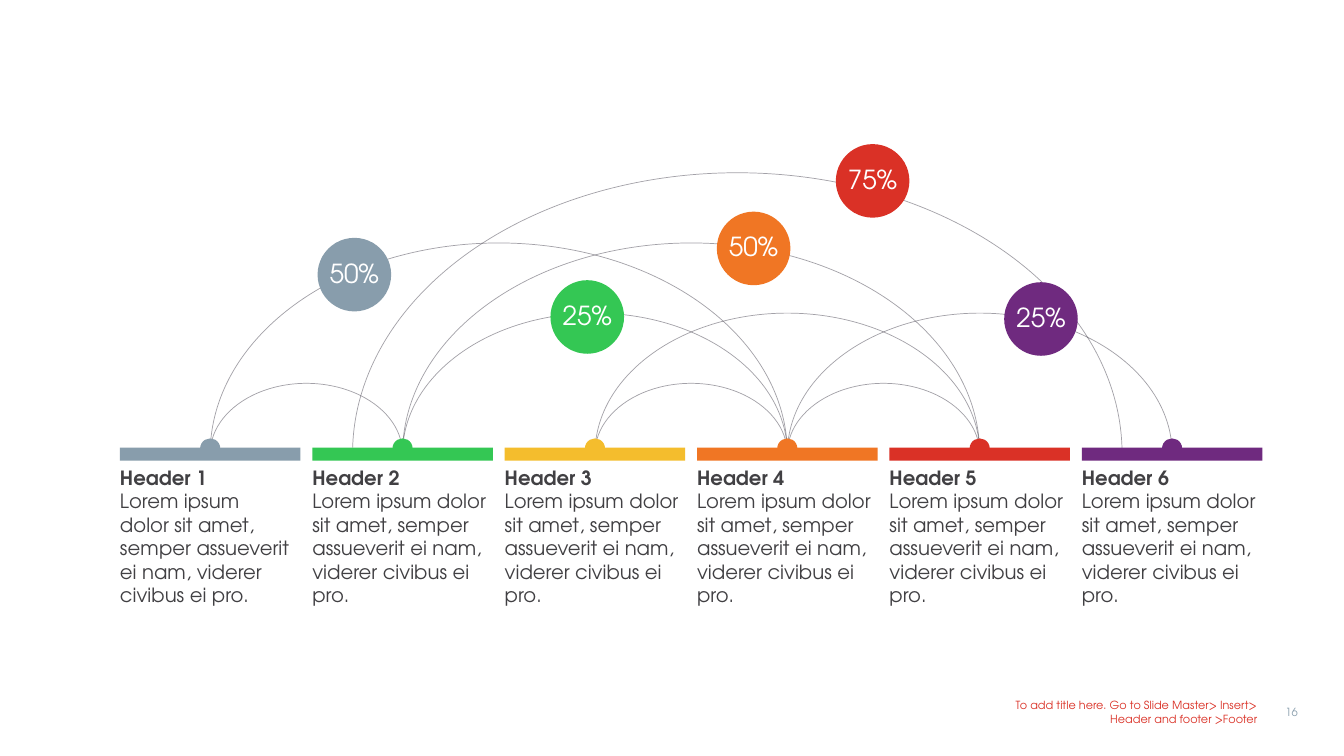
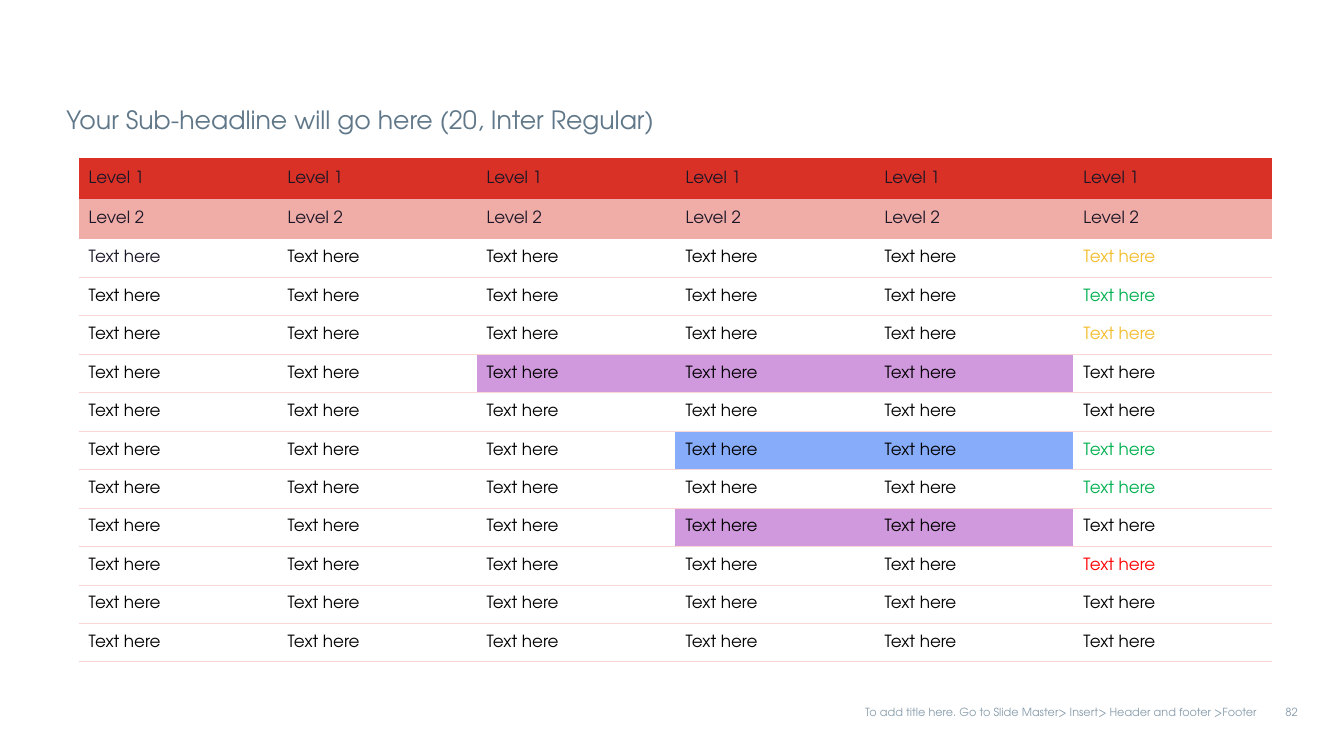
from lxml import etree
from pptx import Presentation
from pptx import util as u
from pptx.dml.color import RGBColor
from pptx.enum import shapes, text
from pptx.oxml.ns import qn

FONT = "TeX Gyre Adventor"
STEEL, GREEN, YELLOW = "889DAC", "34C754", "F4BD2D"
ORANGE, RED, PURPLE = "F07624", "DA3126", "6F2A7F"
WHITE, BLACK, INK, GREY, SLATE = "FFFFFF", "000000", "1B1626", "414043", "5F7788"
ROSE, PALE_ROSE, LILAC, SKY = "F0ADA8", "F8D6D4", "D098DD", "87ACF9"
LEAF, BRIGHT_RED = "00B050", "FF0000"

FOOTER = "To add title here. Go to Slide Master> Insert> Header and footer >Footer"
FOOTER_RIGHT = 12.57
NO_GRID_STYLE = "{2D5ABB26-0587-4C30-8999-92F81FD0307C}"

# Six columns of the arc diagram
COLUMN_COLORS = [STEEL, GREEN, YELLOW, ORANGE, RED, PURPLE]
COLUMN_LEFT, COLUMN_WIDTH = 1.19, 1.79
COLUMN_PITCH = (10.73 - COLUMN_LEFT) / 5
BODY = "Lorem ipsum dolor sit amet, semper assueverit ei nam, viderer civibus ei pro."
ARC_CENTER_Y, ARC_RATIO = 4.5, 0.73
# Start and end of each arc, counted in columns
ARCS = [(0, 1), (2, 3), (0, 3), (0.74, 4.74), (3, 4), (3, 5), (2, 4), (1, 3), (1, 4)]
BUBBLES = [
    (3.15, 2.36, "50%", STEEL),
    (7.11, 2.1, "50%", ORANGE),
    (8.29, 1.43, "75%", RED),
    (5.46, 2.78, "25%", GREEN),
    (9.96, 2.8, "25%", PURPLE),
]

# Table exceptions, keyed by (row, column)
CELL_FILLS = {
    **{(5, column): LILAC for column in (2, 3, 4)},
    **{(7, column): SKY for column in (3, 4)},
    **{(9, column): LILAC for column in (3, 4)},
}
TEXT_COLORS = {
    (2, 0): INK, (2, 5): YELLOW, (3, 5): LEAF, (4, 5): YELLOW,
    (7, 5): LEAF, (8, 5): LEAF, (10, 5): BRIGHT_RED,
}


def rgb(color):
    return RGBColor.from_string(color)


def style(para, size, color, bold=False, align=text.PP_ALIGN.LEFT):
    para.alignment = align
    font = para.font
    font.name, font.size, font.bold = FONT, u.Pt(size), bold
    font.color.rgb = rgb(color)


def set_insets(frame, side, top):
    frame.margin_left = frame.margin_right = u.Inches(side)
    frame.margin_top = frame.margin_bottom = u.Inches(top)


def add_text(page, at, lines, size, color, align=text.PP_ALIGN.LEFT,
             anchor=text.MSO_ANCHOR.TOP, side=0.1):
    """Add a wrapped text box; lines are (wording, bold) pairs."""
    frame = page.shapes.add_textbox(*map(u.Inches, at)).text_frame
    frame.word_wrap = True
    frame.vertical_anchor = anchor
    set_insets(frame, side, 0.05)
    for index, (wording, bold) in enumerate(lines):
        para = frame.paragraphs[0] if index == 0 else frame.add_paragraph()
        para.text = wording
        style(para, size, color, bold, align)
    return frame


def add_shape(page, kind, at, fill=None, angles=()):
    shape = page.shapes.add_shape(kind, *map(u.Inches, at))
    shape.shadow.inherit = False
    for index, angle in enumerate(angles):
        # One degree is 60000 units; an adjustment counts 100000 units
        shape.adjustments[index] = angle * 0.6
    if fill:
        shape.fill.solid()
        shape.fill.fore_color.rgb = rgb(fill)
        shape.line.fill.background()
    else:
        shape.fill.background()
    return shape


def add_arc(page, start, end):
    left = column_center(start)
    width = column_center(end) - left
    height = width * ARC_RATIO
    arc = add_shape(page, shapes.MSO_SHAPE.ARC,
                    (left, ARC_CENTER_Y - height / 2, width, height), angles=(180.88, 0))
    arc.line.width = u.Pt(0.5)
    arc.line.color.rgb = rgb(INK)
    color = arc.line._get_or_add_ln().find(".//" + qn("a:srgbClr"))
    etree.SubElement(color, qn("a:alpha"), val="40000")


def add_bubble(page, left, top, wording, fill):
    bubble = add_shape(page, shapes.MSO_SHAPE.OVAL, (left, top, 0.73, 0.73), fill)
    frame = bubble.text_frame
    frame.word_wrap = False
    frame.vertical_anchor = text.MSO_ANCHOR.MIDDLE
    set_insets(frame, 0, 0)
    para = frame.paragraphs[0]
    para.text = wording
    para.line_spacing = 0.9
    style(para, 18.7, WHITE, align=text.PP_ALIGN.CENTER)


def column_center(index):
    return COLUMN_LEFT + COLUMN_PITCH * index + COLUMN_WIDTH / 2


def add_column(page, index, color):
    """Bar with a half-round knob, and the text below it."""
    left = COLUMN_LEFT + COLUMN_PITCH * index
    add_shape(page, shapes.MSO_SHAPE.RECTANGLE, (left, 4.44, COLUMN_WIDTH, 0.13), color)
    add_shape(page, shapes.MSO_SHAPE.PIE, (column_center(index) - 0.1, 4.35, 0.2, 0.2),
              color, angles=(178.67, 0))
    text_width = 1.68 if index == 0 else 1.78
    add_text(page, (left, 4.57, text_width, 1.55),
             [(f"Header {index + 1}", True), (BODY, False)], 14, GREY, side=0)


def add_footer(page, number, width, color):
    right = text.PP_ALIGN.RIGHT
    add_text(page, (12.41, 6.95, 0.56, 0.24), [(number, False)], 8, STEEL, right)
    add_text(page, (FOOTER_RIGHT - width, 6.94, width, 0.25), [(FOOTER, False)],
             8, color, right, text.MSO_ANCHOR.MIDDLE)


def add_bottom_border(cell, color):
    line = etree.Element(qn("a:lnB"), w=str(u.Pt(0.75)))
    fill = etree.SubElement(line, qn("a:solidFill"))
    etree.SubElement(fill, qn("a:srgbClr"), val=color)
    cell._tc.get_or_add_tcPr().insert(0, line)


def fill_cell(cell, wording, fill, color):
    cell.fill.solid()
    cell.fill.fore_color.rgb = rgb(fill)
    cell.vertical_anchor = text.MSO_ANCHOR.MIDDLE
    para = cell.text_frame.paragraphs[0]
    para.text = wording
    style(para, 12, color)


def add_level_table(page, rows=13, columns=6):
    at = map(u.Inches, (0.78, 1.57, 11.84, 5))
    table = page.shapes.add_table(rows, columns, *at).table
    table.first_row = table.horz_banding = False
    table._tbl.tblPr.find(qn("a:tableStyleId")).text = NO_GRID_STYLE
    heads = [("Level 1", RED), ("Level 2", ROSE)]
    head_height = 0.4
    body_height = (5 - head_height * len(heads)) / (rows - len(heads))
    for row in range(rows):
        is_head = row < len(heads)
        table.rows[row].height = u.Inches(head_height if is_head else body_height)
        for column in range(columns):
            cell, spot = table.cell(row, column), (row, column)
            if is_head:
                fill_cell(cell, *heads[row], INK)
            else:
                fill_cell(cell, "Text here", CELL_FILLS.get(spot, WHITE),
                          TEXT_COLORS.get(spot, BLACK))
                add_bottom_border(cell, PALE_ROSE)


def build_arc_page(page):
    for start, end in ARCS:
        add_arc(page, start, end)
    for index, color in enumerate(COLUMN_COLORS):
        add_column(page, index, color)
    for bubble in BUBBLES:
        add_bubble(page, *bubble)
    add_footer(page, "16", 2.74, RED)


def build_table_page(page):
    frame = add_text(page, (0.56, 1.02, 12.4, 0.55),
                     [("Your Sub-headline will go here (20, Inter Regular)", False)],
                     18, SLATE)
    frame.paragraphs[0].line_spacing = 0.9
    add_level_table(page)
    add_footer(page, "82", 4.42, STEEL)


def main():
    deck = Presentation()
    deck.slide_width, deck.slide_height = u.Inches(13.33), u.Inches(7.5)
    blank = deck.slide_layouts[6]
    for build in (build_arc_page, build_table_page):
        build(deck.slides.add_slide(blank))
    deck.save("out.pptx")


if __name__ == "__main__":
    main()
